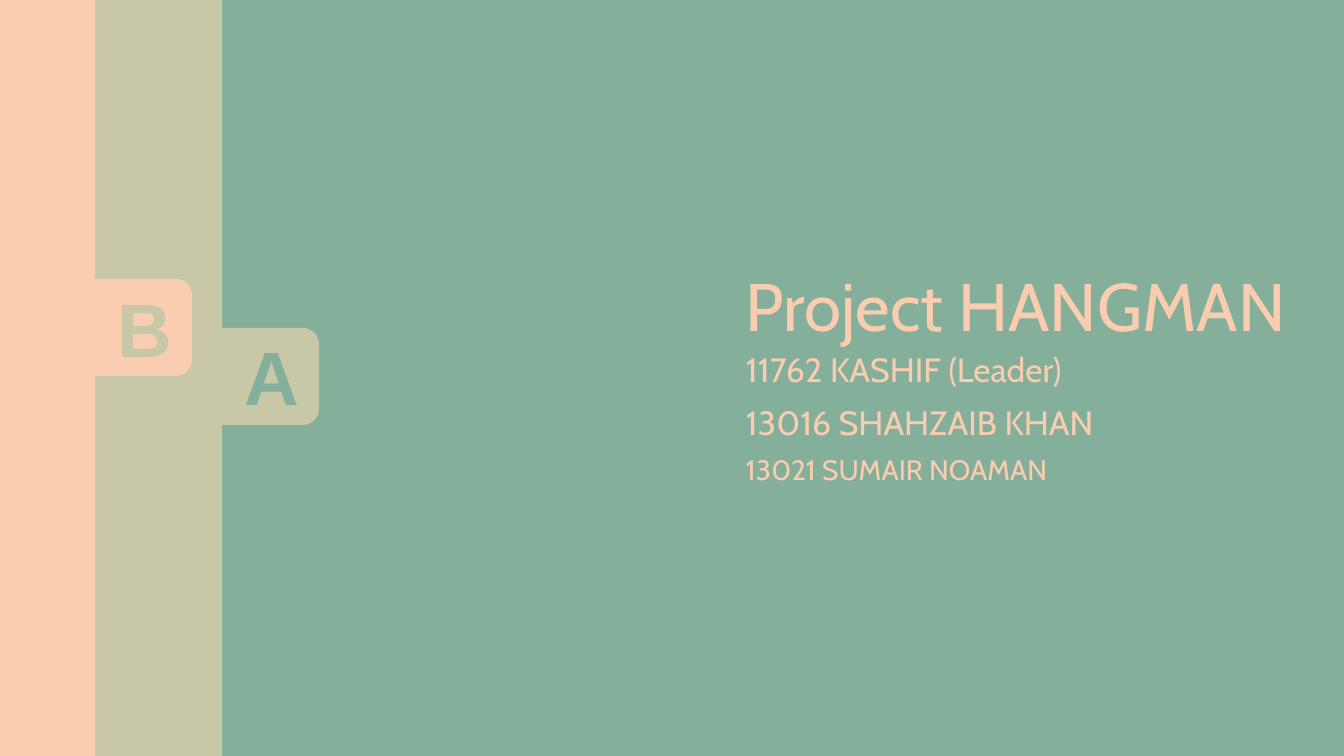
import pptx
import pptx.util
import pptx.dml.color
import pptx.enum.shapes
import pptx.enum.text

EMU_PER_PX = 914400 / 100.8
SLIDE_WIDTH, SLIDE_HEIGHT = 1344, 756
PANEL_WIDTH = 1086
TAB_SIZE = 97

THEME = {
    "green": pptx.dml.color.RGBColor.from_string("84AF9B"),
    "sand": pptx.dml.color.RGBColor.from_string("C8C7A8"),
    "peach": pptx.dml.color.RGBColor.from_string("FACDB0"),
    "title": {"name": "Cabin", "size": pptx.util.Pt(48)},
    "member": {"name": "Cabin", "size": pptx.util.Pt(24)},
    "small_member": {"name": "Cabin", "size": pptx.util.Pt(20)},
    "letter": {"name": "Arial", "size": pptx.util.Pt(54), "bold": True},
}
SHAPES = pptx.enum.shapes.MSO_SHAPE
ALIGN = pptx.enum.text.PP_ALIGN


def add_filled(slide, kind, box, color):
    shape = slide.shapes.add_shape(kind, *[round(n * EMU_PER_PX) for n in box])
    shape.shadow.inherit = False
    shape.fill.solid()
    shape.fill.fore_color.rgb = THEME[color]
    shape.line.fill.background()
    return shape


def add_text(slide, text, box, style, color, alignment, margin):
    shape = slide.shapes.add_textbox(*[round(n * EMU_PER_PX) for n in box])
    frame = shape.text_frame
    frame.word_wrap = True
    frame.margin_left = frame.margin_right = round(margin * EMU_PER_PX)
    paragraph = frame.paragraphs[0]
    paragraph.alignment = alignment
    run = paragraph.add_run()
    run.text = text
    for name, value in THEME[style].items():
        setattr(run.font, name, value)
    run.font.color.rgb = THEME[color]


presentation = pptx.Presentation()
presentation.slide_width = round(SLIDE_WIDTH * EMU_PER_PX)
presentation.slide_height = round(SLIDE_HEIGHT * EMU_PER_PX)
slide = presentation.slides.add_slide(presentation.slide_layouts[6])
slide.background.fill.solid()
slide.background.fill.fore_color.rgb = THEME["green"]

for text, top, width, height, style in [
    ("11762 KASHIF (Leader)", 344, 368, 50, "member"),
    ("Project HANGMAN", 259, 566, 92, "title"),
    ("13016 SHAHZAIB KHAN", 397, 368, 50, "member"),
    ("13021 SUMAIR NOAMAN", 448, 325, 44, "small_member"),
]:
    add_text(slide, text, (736, top, width, height), style, "peach", ALIGN.LEFT, 10)

for letter, edge, tab_top, letter_top, color, letter_color in [
    ("A", 222, 328, 325, "sand", "green"),
    ("B", 95, 279, 277, "peach", "sand"),
]:
    add_filled(slide, SHAPES.RECTANGLE,
               (edge - PANEL_WIDTH, 0, PANEL_WIDTH, SLIDE_HEIGHT), color)
    tab = add_filled(slide, SHAPES.ROUND_2_SAME_RECTANGLE,
                     (edge, tab_top, TAB_SIZE, TAB_SIZE), color)
    tab.rotation = 90
    add_text(slide, letter, (edge + 12, letter_top, 75, 102), "letter",
             letter_color, ALIGN.CENTER, 0)

presentation.save("out.pptx")
